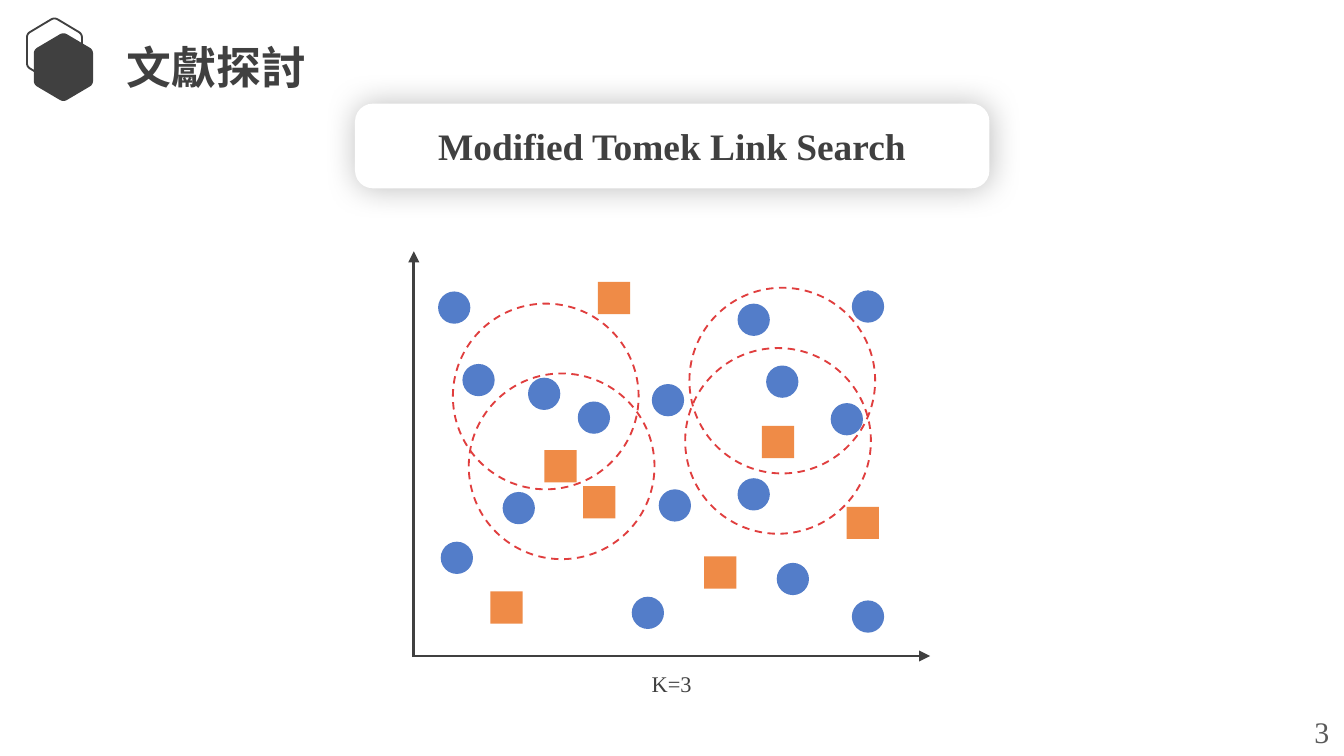
from lxml.etree import SubElement
from pptx import Presentation
from pptx.dml.color import RGBColor
from pptx.enum.dml import MSO_LINE
from pptx.enum.shapes import MSO_CONNECTOR, MSO_SHAPE
from pptx.enum.text import MSO_ANCHOR, PP_ALIGN
from pptx.oxml.ns import qn
from pptx.util import Cm, Pt

DARK = RGBColor(0x40, 0x40, 0x40)
GREY = RGBColor(0x59, 0x59, 0x59)
WHITE = RGBColor(0xFF, 0xFF, 0xFF)
BLUE = RGBColor(0x53, 0x7D, 0xC9)
ORANGE = RGBColor(0xEF, 0x8B, 0x47)
RED = RGBColor(0xE0, 0x3E, 0x3E)
FONT = "Times New Roman"

TITLE = "文獻探討"
HEADING = "Modified Tomek Link Search"
CAPTION = "K=3"
PAGE_NUMBER = "3"

MARKER_SIZE = 0.61
MAJORITY_POINTS = [
    (9.98, 7.14), (8.74, 6.88), (16.1, 5.49), (12.45, 9.25),
    (15.7, 7.62), (11.94, 11.28), (13.94, 5.74), (8.28, 5.51),
    (8.33, 10.24), (10.92, 7.59), (12.32, 7.26), (13.94, 9.04),
    (16.1, 11.35), (9.5, 9.3), (14.68, 10.64), (14.48, 6.91),
]
MINORITY_POINTS = [
    (10.29, 8.51), (14.4, 8.05), (13.31, 10.52), (9.27, 11.18),
    (16, 9.58), (11.02, 9.19), (11.3, 5.33),
]
RING_SIZE = 3.51
NEIGHBOURHOODS = [(8.56, 5.74), (8.86, 7.06), (13.03, 5.44), (12.95, 6.58)]
AXES = [((7.82, 12.4), (17.58, 12.4)), ((7.82, 12.42), (7.82, 4.75))]
HEXAGONS = [
    ((0.51, 0.33, 1.04, 1.24), None, DARK),
    ((0.64, 0.61, 1.12, 1.32), DARK, None),
]


def write(box, text, size, color=DARK, bold=False, align=PP_ALIGN.LEFT,
          anchor=MSO_ANCHOR.TOP, wrap=True, inset=(0.25, 0.13)):
    frame = box.text_frame
    frame.word_wrap = wrap
    frame.vertical_anchor = anchor
    frame.margin_left = frame.margin_right = Cm(inset[0])
    frame.margin_top = frame.margin_bottom = Cm(inset[1])
    para = frame.paragraphs[0]
    para.alignment = align
    span = para.add_run()
    span.text = text
    span.font.name = FONT
    span.font.size = Pt(size)
    span.font.bold = bold
    span.font.color.rgb = color


def paint(shape, fill=None, line=None):
    shape.shadow.inherit = False
    if fill is None:
        shape.fill.background()
    else:
        shape.fill.solid()
        shape.fill.fore_color.rgb = fill
    if line is None:
        shape.line.fill.background()
    else:
        shape.line.color.rgb = line
        shape.line.width = Pt(1)
    return shape


def add_shape(page, kind, left, top, width, height, fill=None, line=None):
    shape = page.shapes.add_shape(kind, Cm(left), Cm(top), Cm(width), Cm(height))
    return paint(shape, fill, line)


def add_text_box(page, left, top, width, height):
    return page.shapes.add_textbox(Cm(left), Cm(top), Cm(width), Cm(height))


def add_hexagon(page, left, top, width, height, fill, line):
    corners = [(0.5, 0), (1, 0.25), (1, 0.75), (0.5, 1), (0, 0.75), (0, 0.25)]
    corners = [(left + x * width, top + y * height) for x, y in corners]
    outline = []
    for index, corner in enumerate(corners):
        before, after = corners[index - 1], corners[(index + 1) % 6]
        start, end = [[c + 0.12 * (n - c) for c, n in zip(corner, near)]
                      for near in (before, after)]
        for step in range(7):
            t = step / 6
            outline.append(tuple(
                Cm((1 - t) ** 2 * s + 2 * t * (1 - t) * c + t ** 2 * e)
                for s, c, e in zip(start, corner, end)))
    builder = page.shapes.build_freeform(*outline[0])
    builder.add_line_segments(outline[1:], close=True)
    paint(builder.convert_to_shape(), fill, line)


def add_axis(page, start, end):
    axis = page.shapes.add_connector(
        MSO_CONNECTOR.STRAIGHT, *[Cm(value) for value in start + end])
    axis.line.color.rgb = DARK
    axis.line.width = Pt(1.5)
    SubElement(axis.line._get_or_add_ln(), qn("a:tailEnd"), type="triangle")
    SubElement(axis._element.spPr, qn("a:effectLst"))


def add_soft_shadow(shape):
    effects = shape._element.spPr.find(qn("a:effectLst"))
    shadow = SubElement(effects, qn("a:outerShdw"), blurRad=str(Pt(17)),
                        dist="0", dir="0", algn="ctr", rotWithShape="0")
    color = SubElement(shadow, qn("a:srgbClr"), val="000000")
    SubElement(color, qn("a:alpha"), val="25000")


def main():
    deck = Presentation()
    deck.slide_width, deck.slide_height = Cm(25.4), Cm(14.29)
    page = deck.slides.add_slide(deck.slide_layouts[6])

    for start, end in AXES:
        add_axis(page, start, end)
    for kind, color, points in [
        (MSO_SHAPE.RECTANGLE, ORANGE, MINORITY_POINTS),
        (MSO_SHAPE.OVAL, BLUE, MAJORITY_POINTS),
    ]:
        for left, top in points:
            add_shape(page, kind, left, top, MARKER_SIZE, MARKER_SIZE, fill=color)

    for bounds, fill, line in HEXAGONS:
        add_hexagon(page, *bounds, fill, line)
    write(add_text_box(page, 2.21, 0.66, 5.41, 1.22), TITLE, 24,
          bold=True, inset=(0.19, 0.1))
    write(add_text_box(page, 24.59, 13.36, 0.79, 0.94), PAGE_NUMBER, 16,
          color=GREY, wrap=False)

    heading = add_shape(page, MSO_SHAPE.ROUNDED_RECTANGLE,
                        6.71, 1.96, 11.99, 1.6, fill=WHITE)
    heading.adjustments[0] = 0.21
    add_soft_shadow(heading)
    write(heading, HEADING, 20, bold=True, align=PP_ALIGN.CENTER,
          anchor=MSO_ANCHOR.MIDDLE)

    for left, top in NEIGHBOURHOODS:
        ring = add_shape(page, MSO_SHAPE.OVAL, left, top,
                         RING_SIZE, RING_SIZE, line=RED)
        ring.line.dash_style = MSO_LINE.DASH

    caption = add_shape(page, MSO_SHAPE.ROUNDED_RECTANGLE, 9.19, 12.42, 7.01, 0.99)
    caption.adjustments[0] = 0.15
    write(caption, CAPTION, 12, align=PP_ALIGN.CENTER,
          anchor=MSO_ANCHOR.MIDDLE, inset=(0.1, 0.1))

    deck.save("out.pptx")


if __name__ == "__main__":
    main()
